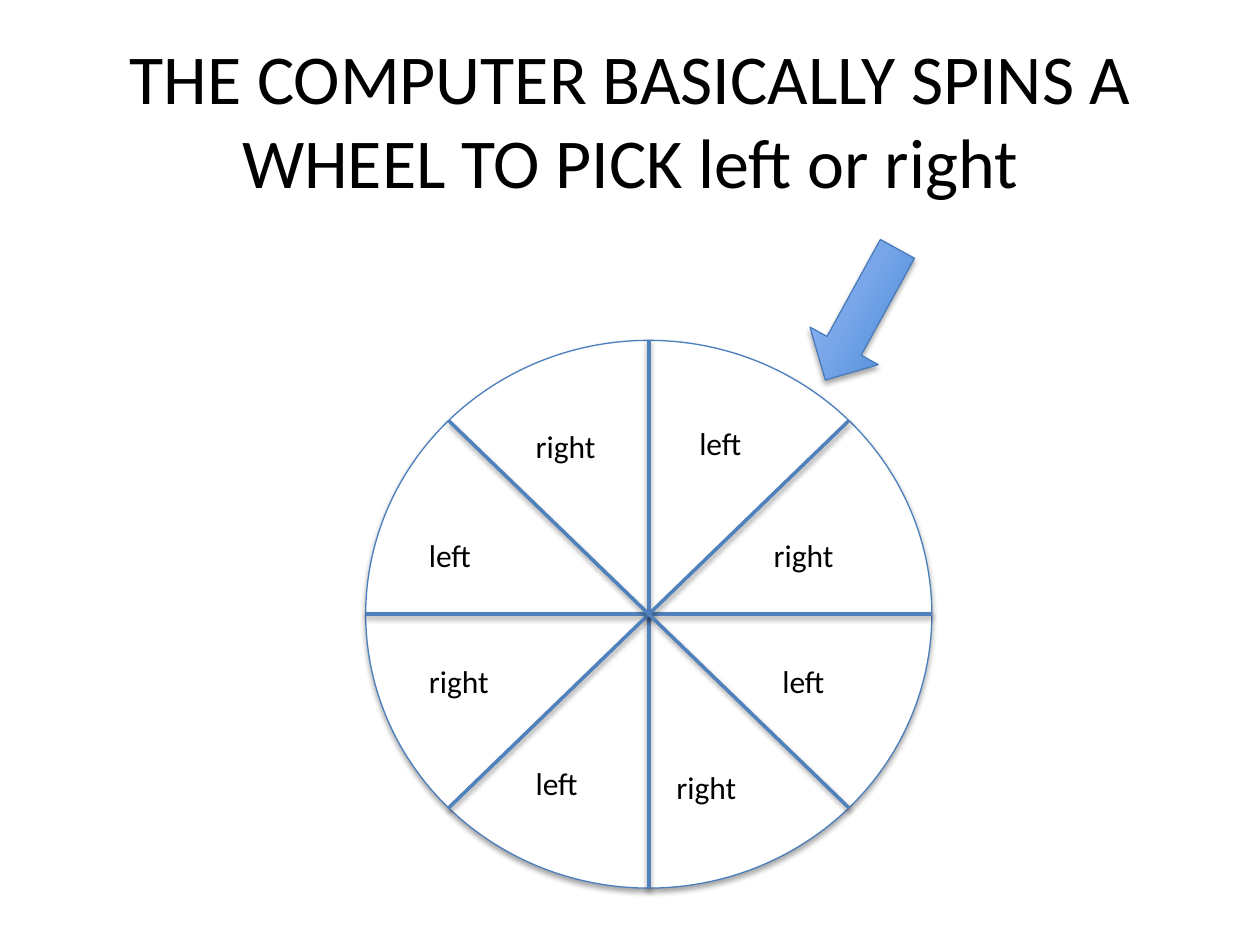
from itertools import cycle
from math import cos, radians, sin

from lxml.etree import SubElement
from pptx import Presentation
from pptx.dml.color import RGBColor
from pptx.enum.shapes import MSO_CONNECTOR, MSO_SHAPE
from pptx.enum.text import MSO_ANCHOR, MSO_AUTO_SIZE, PP_ALIGN
from pptx.oxml.ns import qn
from pptx.util import Pt

FONT = "Calibri"
BLACK = RGBColor(0x00, 0x00, 0x00)
WHITE = RGBColor(0xFF, 0xFF, 0xFF)
OUTLINE = RGBColor(0x4B, 0x7E, 0xBC)
SPOKE = RGBColor(0x4F, 0x81, 0xBD)
ARROW_DARK = RGBColor(0x3F, 0x80, 0xCE)
ARROW_LIGHT = RGBColor(0xA4, 0xC4, 0xFF)

# Label corners inside the wheel box, clockwise from the upper left sector
LABEL_CORNERS = [(29, 108), (90, 46), (183.5, 44.5), (226, 108),
                 (231, 180), (170.5, 241), (90, 238.5), (29, 180)]


def set_text(tf, text, size):
    tf.text = text
    font = tf.paragraphs[0].runs[0].font
    font.name, font.size, font.color.rgb = FONT, Pt(size), BLACK


def set_line(s, color, width):
    s.line.color.rgb = color
    s.line.width = Pt(width)


def add_shadow(s, dist, alpha):
    """Drop a soft black shadow straight down."""
    sp_pr = s._element.spPr
    for old in sp_pr.findall(qn("a:effectLst")):
        sp_pr.remove(old)
    effects = SubElement(sp_pr, qn("a:effectLst"))
    shadow = SubElement(effects, qn("a:outerShdw"), blurRad=str(Pt(3.1)),
                        dist=str(Pt(dist)), dir="5400000", rotWithShape="0")
    color = SubElement(shadow, qn("a:srgbClr"), val=str(BLACK))
    SubElement(color, qn("a:alpha"), val=str(alpha * 1000))


def place_title(slide, x, y, w, h):
    title = slide.shapes.title
    title.left, title.top, title.width, title.height = Pt(x), Pt(y), Pt(w), Pt(h)
    tf = title.text_frame
    set_text(tf, "THE COMPUTER BASICALLY SPINS A WHEEL TO PICK left or right", 40)
    tf.auto_size = MSO_AUTO_SIZE.NONE
    tf.vertical_anchor = MSO_ANCHOR.MIDDLE
    tf.paragraphs[0].alignment = PP_ALIGN.CENTER


def add_wheel(slide, x, y, w, h):
    shapes = slide.shapes.add_group_shape().shapes

    # Rim
    rim = shapes.add_shape(MSO_SHAPE.OVAL, Pt(x), Pt(y), Pt(w), Pt(h))
    rim.fill.solid()
    rim.fill.fore_color.rgb = WHITE
    set_line(rim, OUTLINE, 0.75)
    add_shadow(rim, 1.8, 35)

    # Spokes across the centre
    cx, cy = x + w / 2, y + h / 2
    for angle in (90, 0, 45, 135):
        dx, dy = w / 2 * cos(radians(angle)), h / 2 * sin(radians(angle))
        spoke = shapes.add_connector(MSO_CONNECTOR.STRAIGHT, Pt(cx - dx), Pt(cy + dy),
                                     Pt(cx + dx), Pt(cy - dy))
        set_line(spoke, SPOKE, 2)
        add_shadow(spoke, 1.6, 38)

    # Sector labels
    for (dx, dy), word in zip(LABEL_CORNERS, cycle(("left", "right"))):
        label = shapes.add_textbox(Pt(x + dx), Pt(y + dy), Pt(61), Pt(29))
        tf = label.text_frame
        set_text(tf, word, 18)
        tf.word_wrap = True
        tf.auto_size = MSO_AUTO_SIZE.SHAPE_TO_FIT_TEXT


def add_pointer(slide, x, y, w, h):
    arrow = slide.shapes.add_shape(MSO_SHAPE.RIGHT_ARROW, Pt(x), Pt(y), Pt(w), Pt(h))
    arrow._element.spPr.find(qn("a:xfrm")).set("flipH", "1")
    arrow.rotation = 298.8
    arrow.fill.gradient()
    arrow.fill.gradient_angle = 90
    for stop, color in zip(arrow.fill.gradient_stops, (ARROW_DARK, ARROW_LIGHT)):
        stop.color.rgb = color
    set_line(arrow, OUTLINE, 0.75)
    add_shadow(arrow, 1.8, 35)


prs = Presentation()
prs.slide_width, prs.slide_height = Pt(720), Pt(540)
slide = prs.slides.add_slide(prs.slide_layouts[5])
place_title(slide, 36, 41, 648, 54)
add_wheel(slide, 209, 194.5, 323.5, 313)
add_pointer(slide, 449.5, 157.5, 85.5, 44.5)
prs.save("out.pptx")
